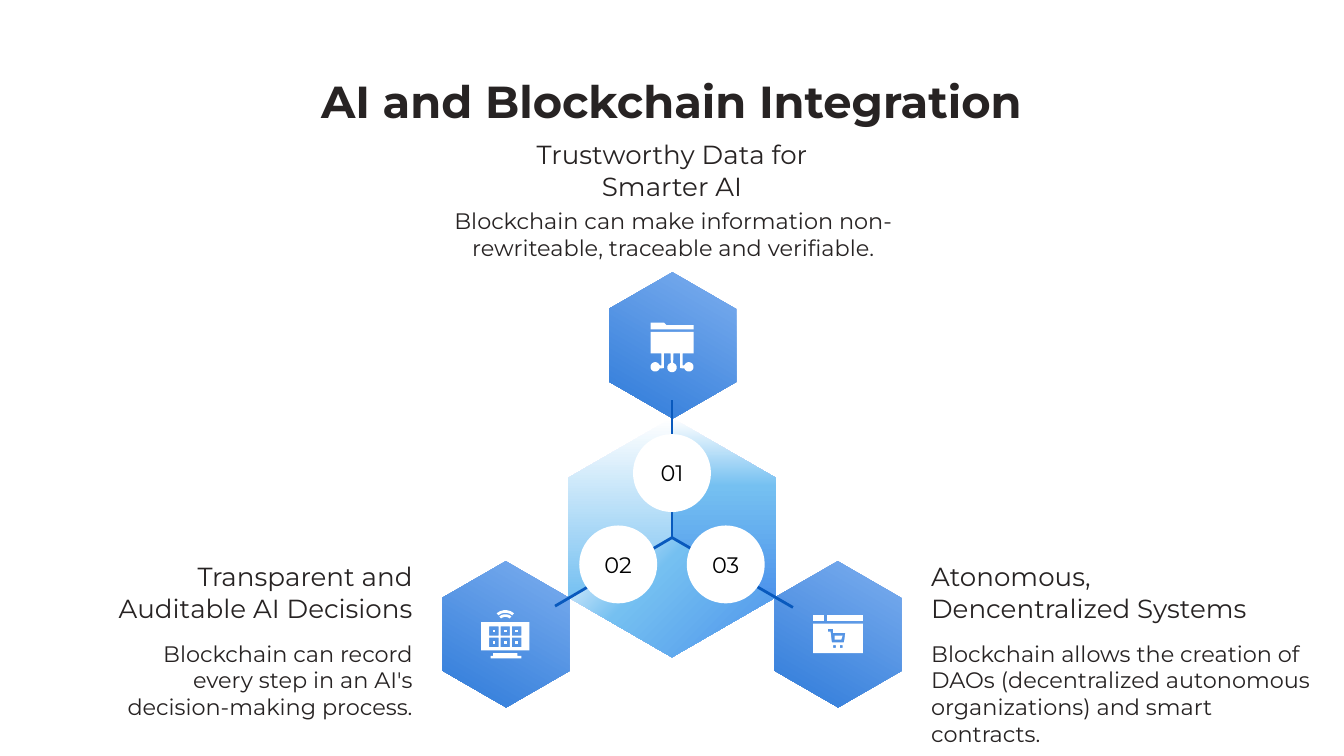
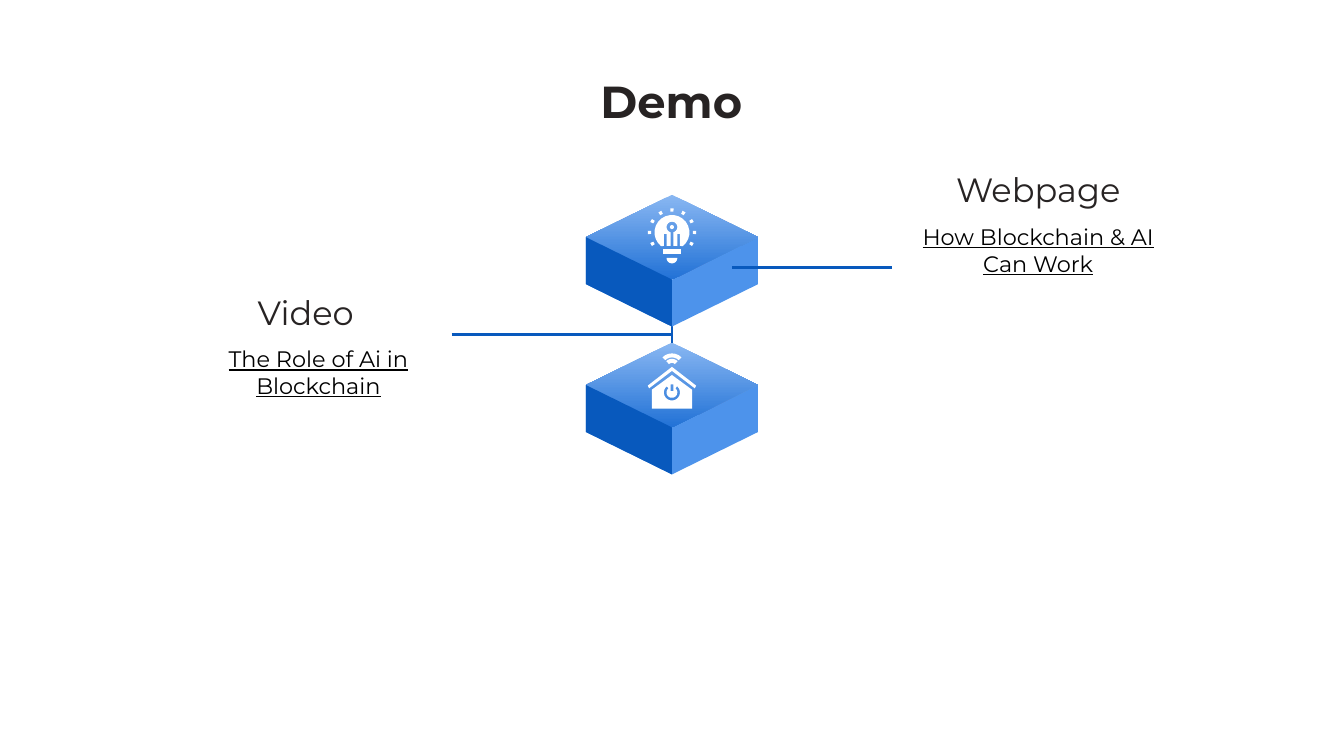
from copy import deepcopy
from dataclasses import dataclass
from math import cos, radians, sin
from typing import NamedTuple

from lxml import etree
from pptx import Presentation
from pptx import util as u
from pptx.dml.color import RGBColor
from pptx.enum import shapes, text
from pptx.oxml.ns import qn

Point = tuple[float, float]
Contour = list[Point]
Part = list[Contour]  # a contour inside another one cuts a hole
Box = tuple[float, float, float, float]
Stops = tuple[tuple[float, str], ...]
LEFT, CENTER, RIGHT = text.PP_ALIGN.LEFT, text.PP_ALIGN.CENTER, text.PP_ALIGN.RIGHT
TOP, MIDDLE, BOTTOM = (text.MSO_ANCHOR.TOP, text.MSO_ANCHOR.MIDDLE,
                       text.MSO_ANCHOR.BOTTOM)


@dataclass(frozen=True)
class Theme:
    font: str = "Montserrat"
    ink: str = "272323"
    black: str = "000000"
    white: str = "FFFFFF"
    navy: str = "0859BD"
    blue: str = "4D93EB"
    title_size: int = 24
    label_size: int = 18
    heading_size: int = 14
    body_size: int = 12
    line_width: float = 1.5
    gradient: Stops = ((0, "89B7F2"), (1, "2272D6"))
    pale: Stops = ((0, "FFFFFF"), (1, "75C0F1"))
    sky: Stops = ((0, "FFFFFF"), (0.38, "75C0F1"), (1, "4D93EB"))


THEME = Theme()


class Topic(NamedTuple):
    number: str
    hexagon: Point
    badge: Point
    spoke_end: Point
    heading: str
    heading_box: Box
    body: str
    body_box: Box
    align: text.PP_ALIGN
    icon: list[Part]


class Demo(NamedTuple):
    label: str
    label_box: Box
    caption: str
    caption_box: Box
    line: tuple[Point, Point]
    cube_top: float
    icon: list[Part]


def polar(center: Point, radius: float, degrees: float) -> Point:
    angle = radians(degrees)
    return center[0] + radius * cos(angle), center[1] + radius * sin(angle)


def arc(center: Point, radius: float, start: float, end: float) -> Contour:
    steps = max(1, round(abs(end - start) / 15))
    return [polar(center, radius, start + (end - start) * step / steps)
            for step in range(steps + 1)]


def band(center: Point, inner: float, outer: float, start: float, end: float) -> Contour:
    return arc(center, outer, start, end) + arc(center, inner, end, start)


def rectangle(left: float, top: float, width: float, height: float) -> Contour:
    right, bottom = left + width, top + height
    return [(left, top), (right, top), (right, bottom), (left, bottom)]


def folder_icon() -> list[Part]:
    node = 0.07 / 2
    body = [(4.84, 2.63), (4.92, 2.63), (4.92, 2.72),
            *arc((4.875, 2.73), node, -20, -340),
            (4.94, 2.74), (4.94, 2.63), (4.99, 2.63),
            *arc((5, 2.735), node, -105, -435),
            (5.01, 2.63), (5.06, 2.63), (5.06, 2.74),
            *arc((5.125, 2.73), node, 160, -160),
            (5.08, 2.72), (5.08, 2.63), (5.16, 2.63), (5.16, 2.47), (4.84, 2.47)]
    tab = [(5.16, 2.42), (4.96, 2.42), (4.94, 2.4), (4.84, 2.4), (4.84, 2.45), (5.16, 2.45)]
    return [[body], [tab]]


def monitor_icon() -> list[Part]:
    keys = [(3.64 + 0.085 * column, 4.66 + 0.085 * row)
            for row in range(2) for column in range(3)]
    screen = [rectangle(3.58, 4.63, 0.36, 0.21)]
    screen += [rectangle(x, y, 0.07, 0.07) for x, y in keys]
    stand = [(3.67, 4.88), (3.65, 4.88), (3.65, 4.9), (3.88, 4.9),
             (3.88, 4.88), (3.85, 4.88), (3.85, 4.86), (3.67, 4.86)]
    waves = [[band((3.76, 4.64), inner, outer, -130, -50)]
             for inner, outer in ((0.08, 0.1), (0.05, 0.07))]
    dots = [[rectangle(x + 0.025, y + 0.025, 0.02, 0.02)] for x, y in keys]
    return [*waves, screen, *dots, [stand]]


def shop_icon() -> list[Part]:
    cart = [(6.18, 4.7), (6.16, 4.7), (6.16, 4.68), (6.2, 4.68), (6.2, 4.71),
            (6.29, 4.71), (6.28, 4.78), (6.19, 4.78)]
    wheels = [rectangle(x, 4.8, 0.02, 0.02) for x in (6.2, 6.25)]
    basket = [(6.26, 4.76), (6.27, 4.73), (6.21, 4.73), (6.21, 4.76)]
    return [[rectangle(6.05, 4.64, 0.37, 0.22), cart, *wheels], [basket],
            [rectangle(6.05, 4.58, 0.08, 0.04)], [rectangle(6.15, 4.58, 0.27, 0.04)]]


def bulb_icon() -> list[Part]:
    middle, node = (5, 1.73), (5, 1.69)
    rays = [[band(middle, 0.155, 0.18, angle - 4, angle + 4)]
            for angle in range(-210, 31, 30)]
    glass = [(4.94, 1.74), (4.96, 1.74), (4.96, 1.83), (4.99, 1.83),
             *arc(node, 0.04, 105, 435),
             (5.01, 1.83), (5.04, 1.83), (5.04, 1.74), (5.06, 1.74), (5.06, 1.83),
             *arc(middle, 0.13, 52, -232), (4.94, 1.83)]
    return [*rays, [glass], [rectangle(4.93, 1.85, 0.14, 0.04)],
            [arc((5, 1.92), 0.04, 0, 180)], [arc(node, 0.015, 0, 345)]]


def house_icon() -> list[Part]:
    waves = [[band((5, 2.73), inner, outer, -135, -45)]
             for inner, outer in ((0.07, 0.1), (0.03, 0.06))]
    roof = [(5.17, 2.89), (5.18, 2.87), (5, 2.73), (4.82, 2.87), (4.83, 2.89), (5, 2.76)]
    walls = [(4.85, 2.9), (4.85, 3.04), (5.15, 3.04), (5.15, 2.9), (5, 2.79)]
    power = band((5, 2.92), 0.04, 0.06, -50, 230)
    return [*waves, [roof], [walls, power, rectangle(4.99, 2.86, 0.02, 0.05)]]


def paint(shape, fill: str | Stops, angle: float = 90) -> None:
    """Fill with one colour, or with gradient stops turned clockwise by angle."""
    shape.shadow.inherit = False
    shape.line.fill.background()
    if isinstance(fill, str):
        shape.fill.solid()
        shape.fill.fore_color.rgb = RGBColor.from_string(fill)
        return
    shape.fill.gradient()
    shape.fill.gradient_angle = 360 - angle
    stop_list = next(shape.element.iter(qn("a:gsLst")))
    while len(stop_list) < len(fill):
        stop_list.append(deepcopy(stop_list[-1]))
    for stop, (position, color) in zip(shape.fill.gradient_stops, fill):
        stop.position = position
        stop.color.rgb = RGBColor.from_string(color)


def add_outline(slide, part: Part, fill: str | Stops, angle: float = 90):
    points = [[(u.Inches(x), u.Inches(y)) for x, y in contour] for contour in part]
    builder = slide.shapes.build_freeform(*points[0][0], scale=1.0)
    for index, contour in enumerate(points):
        if index:
            builder.move_to(*contour[0])
        builder.add_line_segments(contour[1:], close=True)
    shape = builder.convert_to_shape()
    paint(shape, fill, angle)
    return shape


def add_icon(slide, icon: list[Part]) -> None:
    slide.shapes.add_group_shape([add_outline(slide, part, THEME.white) for part in icon])


def add_line(slide, start: Point, end: Point) -> None:
    line = slide.shapes.add_connector(
        shapes.MSO_CONNECTOR.STRAIGHT, *(u.Inches(value) for value in (*start, *end)))
    line.line.color.rgb = RGBColor.from_string(THEME.navy)
    line.line.width = u.Pt(THEME.line_width)
    etree.SubElement(line.element.spPr, qn("a:effectLst"))


def write(shape, content: str, *, size: float = THEME.body_size, color: str = THEME.ink,
          align=CENTER, anchor=TOP, bold: bool = False, underline: bool = False) -> None:
    frame = shape.text_frame
    frame.word_wrap = True
    frame.auto_size = text.MSO_AUTO_SIZE.NONE
    frame.vertical_anchor = anchor
    frame.margin_left = frame.margin_right = u.Inches(0.1)
    frame.margin_top = frame.margin_bottom = u.Inches(0.1)
    paragraph = frame.paragraphs[0]
    paragraph.alignment = align
    run = paragraph.add_run()
    run.text = content
    run.font.name = THEME.font
    run.font.size = u.Pt(size)
    run.font.bold = bold
    run.font.underline = underline
    run.font.color.rgb = RGBColor.from_string(color)


def add_text(slide, box: Box, content: str, **options) -> None:
    write(slide.shapes.add_textbox(*map(u.Inches, box)), content, **options)


def add_titled_slide(presentation, title: str):
    slide = presentation.slides.add_slide(presentation.slide_layouts[5])
    shape = slide.shapes.title
    shape.left, shape.top, shape.width, shape.height = map(u.Inches, (0.49, 0.45, 9.01, 0.61))
    write(shape, title, size=THEME.title_size, bold=True)
    return slide


def build_integration(presentation) -> None:
    hub = (5, 4)
    topics = [
        Topic("01", (4.46, 2.1), (4.71, 3.23), (5, 2.98),
              "Trustworthy Data for Smarter AI", (3.74, 1.07, 2.52, 0.53),
              "Blockchain can make information non-rewriteable, traceable and verifiable.",
              (3.17, 1.44, 3.68, 0.53), CENTER, folder_icon()),
        Topic("02", (3.22, 4.25), (4.31, 3.91), (4.13, 4.51),
              "Transparent and Auditable AI Decisions", (0.65, 4.21, 2.52, 0.53),
              "Blockchain can record every step in an AI's decision-making process.",
              (0.65, 4.66, 2.52, 0.53), RIGHT, monitor_icon()),
        Topic("03", (5.69, 4.25), (5.11, 3.91), (5.9, 4.52),
              "Atonomous, Dencentralized Systems", (6.83, 4.21, 2.67, 0.53),
              "Blockchain allows the creation of DAOs (decentralized autonomous "
              "organizations) and smart contracts.",
              (6.83, 4.66, 3.09, 0.53), LEFT, shop_icon()),
    ]
    slide = add_titled_slide(presentation, "AI and Blockchain Integration")
    for topic in topics:
        hexagon = slide.shapes.add_shape(shapes.MSO_SHAPE.HEXAGON,
                                         *map(u.Inches, (*topic.hexagon, 1.09, 0.94)))
        hexagon.adjustments[0] = 0.289
        hexagon.adjustments[1] = 1.155
        hexagon.rotation = 30
        paint(hexagon, THEME.gradient)

    corners = [polar(hub, 0.89, -90 + 60 * index) for index in range(6)]
    facets = []
    for first, fill, angle in ((4, THEME.pale, 90), (2, THEME.sky, 45), (0, THEME.sky, 90)):
        facet = [hub, *(corners[(first + offset) % 6] for offset in range(3))]
        facets.append(add_outline(slide, [facet], fill, angle))
    slide.shapes.add_group_shape(facets)

    for topic in topics:
        add_line(slide, hub, topic.spoke_end)
    for topic in topics:
        add_icon(slide, topic.icon)
        badge = slide.shapes.add_shape(shapes.MSO_SHAPE.OVAL,
                                       *map(u.Inches, (*topic.badge, 0.58, 0.58)))
        paint(badge, THEME.white)
        write(badge, topic.number, color=THEME.black, anchor=MIDDLE)
        add_text(slide, topic.body_box, topic.body, align=topic.align)
        add_text(slide, topic.heading_box, topic.heading, size=THEME.heading_size,
                 align=topic.align, anchor=BOTTOM)


def add_cube(slide, top: float) -> None:
    left, middle, right = 4.36, 5, 5.64
    slope, depth = 0.315, 0.35
    shoulder, front = top + slope, top + 2 * slope
    left_side = [(left, shoulder), (left, shoulder + depth), (middle, front + depth),
                 (middle, front)]
    sides = [*left_side[:3], (right, shoulder + depth), (right, shoulder), (middle, front)]
    lid = [(middle, top), (left, shoulder), (middle, front), (right, shoulder)]
    slide.shapes.add_group_shape([
        add_outline(slide, [face], fill) for face, fill in
        ((sides, THEME.blue), (lid, THEME.gradient), (left_side, THEME.navy))])


def build_demo(presentation) -> None:
    demos = [
        Demo("Video", (1.19, 1.99, 2.17, 0.58), "The Role of Ai in Blockchain",
             (1.19, 2.47, 2.36, 1.69), ((3.36, 2.49), (5, 2.49)), 2.55, house_icon()),
        Demo("Webpage", (6.64, 1.08, 2.17, 0.58), "How Blockchain & AI Can Work",
             (6.64, 1.56, 2.17, 0.53), ((5.45, 1.99), (6.64, 1.99)), 1.45, bulb_icon()),
    ]
    slide = add_titled_slide(presentation, "Demo")
    add_line(slide, (5, 2.42), (5, 2.57))
    for demo in demos:
        add_cube(slide, demo.cube_top)
        add_icon(slide, demo.icon)
        add_line(slide, *demo.line)
        add_text(slide, demo.label_box, demo.label, size=THEME.label_size, anchor=BOTTOM)
        add_text(slide, demo.caption_box, demo.caption, color=THEME.black, underline=True)


def main() -> None:
    presentation = Presentation()
    presentation.slide_width = u.Inches(10)
    presentation.slide_height = u.Inches(10) * 9 // 16
    build_integration(presentation)
    build_demo(presentation)
    presentation.save("out.pptx")


if __name__ == "__main__":
    main()
